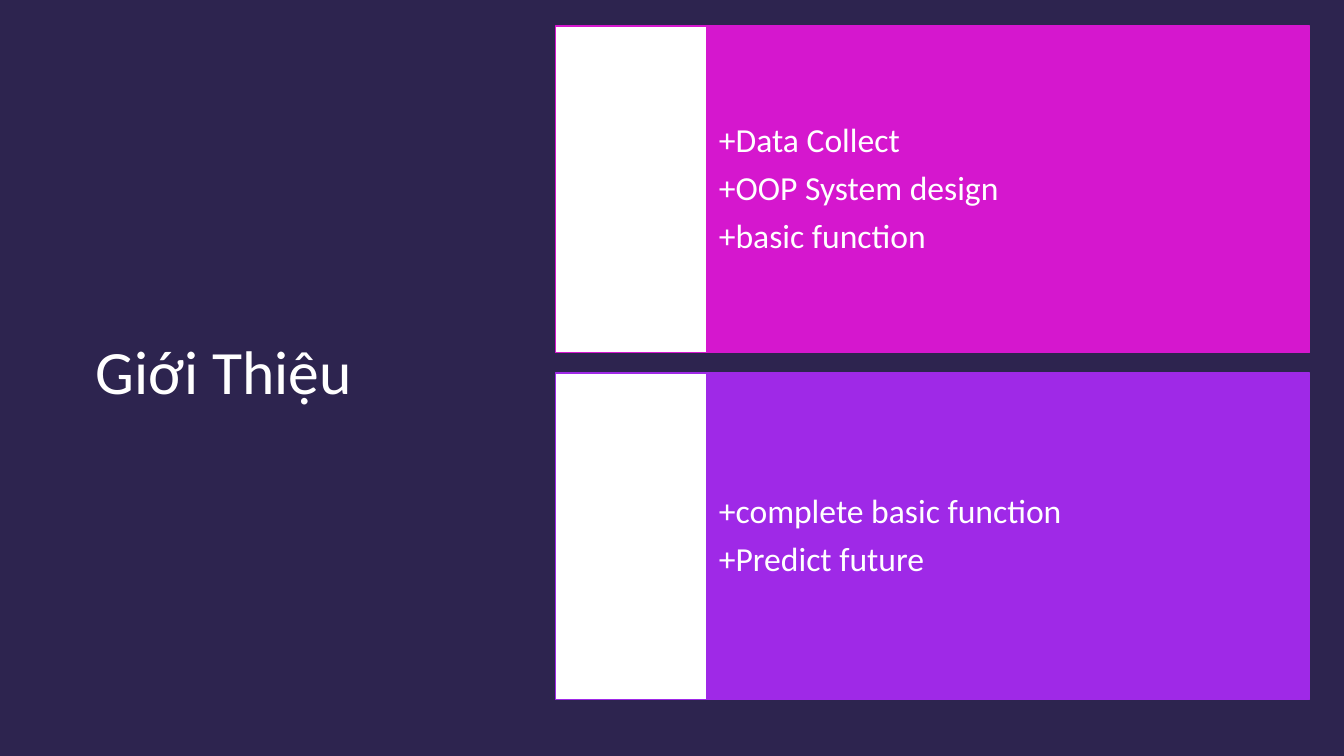
from lxml import etree
from pptx import Presentation
from pptx.dml.color import RGBColor
from pptx.enum.shapes import MSO_SHAPE
from pptx.enum.text import MSO_ANCHOR
from pptx.oxml.ns import qn
from pptx.util import Inches, Pt

RECTANGLE = MSO_SHAPE.RECTANGLE
MIDDLE = MSO_ANCHOR.MIDDLE

COLOURS = {
    "background": "1E1834",
    "overlay": "2F2652",
    "white": "FFFFFF",
    "magenta": "D517CE",
    "violet": "9F29E7",
}


class SlideBuilder:
    font_name = "Calibri"
    line_spacing = 0.9

    def __init__(self, presentation):
        self.slide = presentation.slides.add_slide(presentation.slide_layouts[6])

    def colour(self, name):
        return RGBColor.from_string(COLOURS[name])

    def background(self, name):
        fill = self.slide.background.fill
        fill.solid()
        fill.fore_color.rgb = self.colour(name)

    def rectangle(self, left, top, width, height, fill, line=None, opacity=100):
        shape = self.slide.shapes.add_shape(
            RECTANGLE, Inches(left), Inches(top), Inches(width), Inches(height))
        shape.shadow.inherit = False
        shape.fill.solid()
        shape.fill.fore_color.rgb = self.colour(fill)
        if opacity < 100:
            colour_element = next(shape.fill._xPr.iter(qn("a:srgbClr")))
            alpha = etree.SubElement(colour_element, qn("a:alpha"))
            alpha.set("val", str(opacity * 1000))
        if line:
            shape.line.color.rgb = self.colour(line)
            shape.line.width = Pt(1)
        else:
            shape.line.fill.background()

    def text(self, left, top, width, height, lines, size, margins=(0.1, 0.05), space_after=0):
        box = self.slide.shapes.add_textbox(
            Inches(left), Inches(top), Inches(width), Inches(height))
        frame = box.text_frame
        frame.word_wrap = True
        frame.vertical_anchor = MIDDLE
        frame.margin_left = frame.margin_right = Inches(margins[0])
        frame.margin_top = frame.margin_bottom = Inches(margins[1])
        for index, line in enumerate(lines):
            paragraph = frame.add_paragraph() if index else frame.paragraphs[0]
            paragraph.line_spacing = self.line_spacing
            paragraph.space_after = Pt(space_after)
            run = paragraph.add_run()
            run.text = line
            run.font.name = self.font_name
            run.font.size = Pt(size)
            run.font.color.rgb = self.colour("white")

    def card(self, top, colour, lines):
        left, icon_width, text_width, height = 5.51, 1.5, 5.98, 3.24
        text_left = left + icon_width
        self.rectangle(text_left, top, text_width, height, colour, colour)
        self.text(text_left, top, text_width, height, lines, 24, (0.12, 0.82), 8.4)
        self.rectangle(left, top, icon_width, height, "white", colour)


def main():
    presentation = Presentation()
    presentation.slide_width = Inches(13.33)
    presentation.slide_height = Inches(7.5)

    builder = SlideBuilder(presentation)
    builder.background("background")
    builder.rectangle(0, 0, 13.33, 7.5, "overlay", opacity=90)
    builder.text(0.85, 0.54, 4.32, 6.36, ["Giới Thiệu"], 44)

    cards = [
        ("magenta", ["+Data Collect", "+OOP System design", "+basic function"]),
        ("violet", ["+complete basic function", "+Predict future"]),
    ]
    for index, (colour, lines) in enumerate(cards):
        builder.card(0.26 + index * 3.44, colour, lines)

    presentation.save("out.pptx")


if __name__ == "__main__":
    main()
